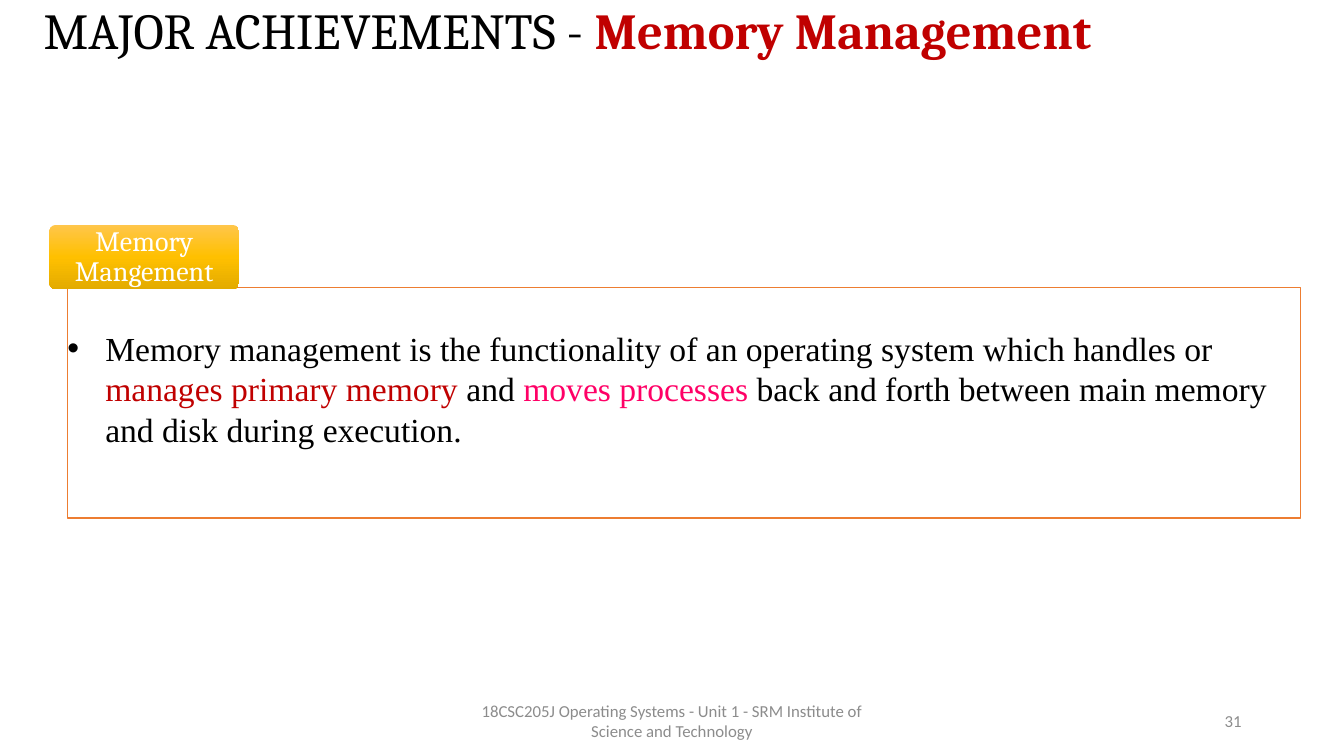
from copy import deepcopy
from dataclasses import dataclass

from lxml import etree
from pptx import Presentation
from pptx.dml.color import RGBColor
from pptx.enum.shapes import MSO_SHAPE
from pptx.enum.text import MSO_ANCHOR, MSO_AUTO_SIZE, PP_ALIGN
from pptx.oxml.ns import qn
from pptx.util import Pt

LEFT, CENTER, RIGHT = PP_ALIGN.LEFT, PP_ALIGN.CENTER, PP_ALIGN.RIGHT
TOP, MIDDLE = MSO_ANCHOR.TOP, MSO_ANCHOR.MIDDLE
NO_AUTOFIT = MSO_AUTO_SIZE.NONE
ROUNDED = MSO_SHAPE.ROUNDED_RECTANGLE


@dataclass(frozen=True)
class Theme:
    heading: str = "Cambria"
    body: str = "Times New Roman"
    small: str = "Calibri"
    title_size: int = 36
    body_size: int = 24
    tag_size: int = 20
    footer_size: int = 12
    black: str = "000000"
    white: str = "FFFFFF"
    red: str = "C00000"
    pink: str = "FF0066"
    grey: str = "8C8C8C"
    orange: str = "ED7D31"
    tag_stops: tuple = ((0, "FFC64B"), (0.5, "FFC000"), (1, "E3AB00"))


THEME = Theme()

TITLE = [
    ("MAJOR ACHIEVEMENTS - ", THEME.black, False),
    ("Memory Management", THEME.red, True),
]
DEFINITION = [
    ("Memory management is the functionality of an operating system which handles or ", THEME.black, False),
    ("manages primary memory ", THEME.red, False),
    ("and ", THEME.black, False),
    ("moves processes ", THEME.pink, False),
    ("back and forth between main memory and disk during execution.", THEME.black, False),
]
TAG = [("Memory Mangement", THEME.white, False)]
FOOTERS = [
    ("18CSC205J Operating Systems - Unit 1 - SRM Institute of Science and Technology", 318, 324, CENTER),
    ("31", 678, 216, RIGHT),
]

SLIDE_SIZE = (960, 540)
TITLE_BOX = (24, 1.5, 828, 44.6)
DEFINITION_BOX = (48.2, 205.2, 880.6, 164.9)
TAG_BOX = (35.3, 160.6, 135.4, 46)
FOOTER_TOP, FOOTER_HEIGHT = 500.5, 28.8
DEFAULT_INSETS = (7.2, 3.6, 7.2, 3.6)
DEFINITION_INSETS = (0, 29, 0, 0)
TAG_INSETS = (3, 3, 3, 3)
BULLET_INDENT = 27


def color(value):
    return RGBColor.from_string(value)


def place(shape, box):
    shape.left, shape.top, shape.width, shape.height = map(Pt, box)


def write(shape, runs, font, size, align, anchor=MIDDLE, insets=DEFAULT_INSETS, spacing=1):
    frame = shape.text_frame
    frame.word_wrap = True
    frame.auto_size = NO_AUTOFIT
    frame.vertical_anchor = anchor
    frame.margin_left, frame.margin_top, frame.margin_right, frame.margin_bottom = map(Pt, insets)
    paragraph = frame.paragraphs[0]
    paragraph.alignment = align
    paragraph.line_spacing = spacing
    paragraph.space_before = Pt(0)
    for text, fill, bold in runs:
        run = paragraph.add_run()
        run.text = text
        run.font.name = font
        run.font.size = Pt(size)
        run.font.bold = bold
        run.font.color.rgb = color(fill)
    return paragraph


def add_bullet(paragraph):
    properties = paragraph._p.get_or_add_pPr()
    properties.set("marL", str(Pt(BULLET_INDENT)))
    properties.set("indent", str(-Pt(BULLET_INDENT)))
    etree.SubElement(properties, qn("a:buFont")).set("typeface", "Arial")
    etree.SubElement(properties, qn("a:buChar")).set("char", "•")


def fill_gradient(shape, stops):
    shape.fill.gradient()
    shape.fill.gradient_angle = 270
    stop_list = shape._element.spPr.find(".//" + qn("a:gsLst"))
    while len(stop_list) < len(stops):
        stop_list.append(deepcopy(stop_list[0]))
    for stop, (position, value) in zip(shape.fill.gradient_stops, stops):
        stop.position = position
        stop.color.rgb = color(value)


def add_definition(slide):
    panel = slide.placeholders[1]
    place(panel, DEFINITION_BOX)
    panel.fill.solid()
    panel.fill.fore_color.rgb = color(THEME.white)
    panel.line.color.rgb = color(THEME.orange)
    panel.line.width = Pt(1)
    paragraph = write(panel, DEFINITION, THEME.body, THEME.body_size, LEFT, TOP, DEFINITION_INSETS)
    add_bullet(paragraph)


def add_tag(slide):
    tag = slide.shapes.add_shape(ROUNDED, *map(Pt, TAG_BOX))
    tag.adjustments[0] = 0.1
    tag.shadow.inherit = False
    tag.line.fill.background()
    fill_gradient(tag, THEME.tag_stops)
    write(tag, TAG, THEME.heading, THEME.tag_size, CENTER, insets=TAG_INSETS, spacing=0.9)


def add_footers(slide):
    for text, left, width, align in FOOTERS:
        box = slide.shapes.add_textbox(*map(Pt, (left, FOOTER_TOP, width, FOOTER_HEIGHT)))
        write(box, [(text, THEME.grey, False)], THEME.small, THEME.footer_size, align)


def main():
    presentation = Presentation()
    presentation.slide_width, presentation.slide_height = map(Pt, SLIDE_SIZE)
    slide = presentation.slides.add_slide(presentation.slide_layouts[1])
    title = slide.shapes.title
    place(title, TITLE_BOX)
    write(title, TITLE, THEME.heading, THEME.title_size, LEFT, spacing=0.9)
    add_definition(slide)
    add_footers(slide)
    add_tag(slide)
    presentation.save("out.pptx")


if __name__ == "__main__":
    main()
